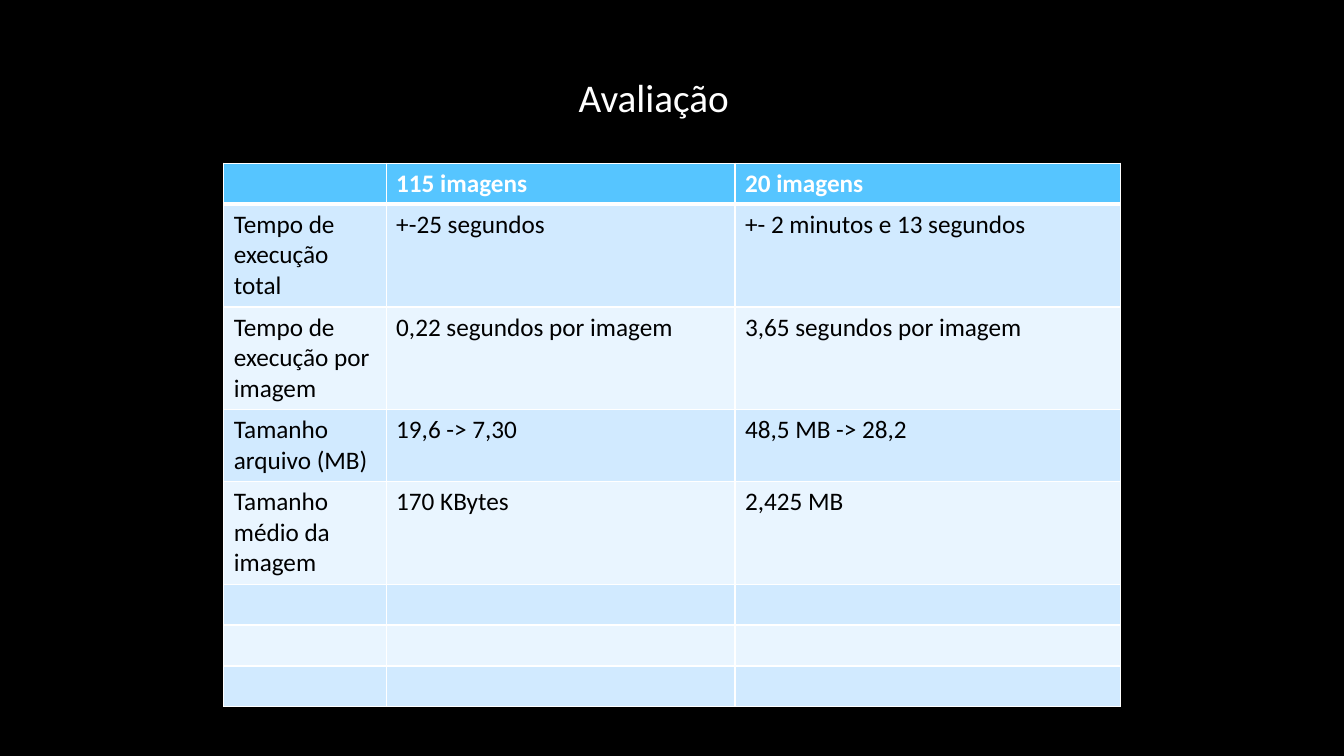
"""Build the evaluation slide: a title above a banded comparison table."""
from dataclasses import dataclass

from lxml import etree
from pptx import Presentation
from pptx import util as u
from pptx.dml.color import RGBColor
from pptx.oxml import ns

COLORS = {"bg": "000000", "white": "FFFFFF", "text": "000000",
          "header": "56C5FF", "odd": "D1EAFF", "even": "E9F5FF"}
FONT = "Calibri"
COL_WIDTHS = (1.61, 3.46, 3.82)
LINE_HEIGHT = 0.31
ROW_HEIGHT = 0.4


@dataclass(frozen=True)
class Row:
    cells: tuple[str, str, str] = ("", "", "")
    lines: int = 1

    @property
    def height(self) -> float:
        return ROW_HEIGHT + LINE_HEIGHT * (self.lines - 1)


ROWS = (
    Row(("", "115 imagens", "20 imagens")),
    Row(("Tempo de execução total", "+-25 segundos", "+- 2 minutos e 13 segundos"), 3),
    Row(("Tempo de execução por imagem", "0,22 segundos por imagem",
         "3,65 segundos por imagem"), 3),
    Row(("Tamanho arquivo (MB)", "19,6 -> 7,30", "48,5 MB -> 28,2"), 2),
    Row(("Tamanho médio da imagem", "170 KBytes", "2,425 MB"), 3),
    Row(), Row(), Row(),
)


def rgb(name: str) -> RGBColor:
    return RGBColor.from_string(COLORS[name])


def style_text(p, size: int, color: str, bold: bool = False) -> None:
    p.font.size = u.Pt(size)
    for r in p.runs:
        r.font.name = FONT
        r.font.size = u.Pt(size)
        r.font.bold = bold
        r.font.color.rgb = rgb(color)


def add_borders(cell, top: int, bottom: int) -> None:
    tc_pr = cell._tc.get_or_add_tcPr()
    for side, width in (("L", 1), ("R", 1), ("T", top), ("B", bottom)):
        ln = etree.SubElement(tc_pr, ns.qn(f"a:ln{side}"), w=str(u.Pt(width)))
        fill = etree.SubElement(ln, ns.qn("a:solidFill"))
        etree.SubElement(fill, ns.qn("a:srgbClr"), val=COLORS["white"])


def fill_row(table, index: int, row: Row) -> None:
    header = index == 0
    band = "header" if header else "odd" if index % 2 else "even"
    table.rows[index].height = u.Inches(row.height)
    for cell, words in zip(table.rows[index].cells, row.cells):
        add_borders(cell, top=3 if index == 1 else 1, bottom=3 if header else 1)
        cell.fill.solid()
        cell.fill.fore_color.rgb = rgb(band)
        cell.text_frame.text = words
        style_text(cell.text_frame.paragraphs[0], 18,
                   "white" if header else "text", header)


def add_results(s) -> None:
    height = sum(row.height for row in ROWS)
    table = s.shapes.add_table(len(ROWS), len(COL_WIDTHS), u.Inches(2.22), u.Inches(1.62),
                               u.Inches(sum(COL_WIDTHS)), u.Inches(height)).table
    for column, width in zip(table.columns, COL_WIDTHS):
        column.width = u.Inches(width)
    for index, row in enumerate(ROWS):
        fill_row(table, index, row)


def add_title(s) -> None:
    sp = s.shapes.add_textbox(u.Inches(5.64), u.Inches(0.68), u.Inches(1.81), u.Inches(0.57))
    tf = sp.text_frame
    tf.word_wrap = True
    tf.text = "Avaliação"
    style_text(tf.paragraphs[0], 28, "white")


def main() -> None:
    prs = Presentation()
    prs.slide_width, prs.slide_height = u.Inches(13.33), u.Inches(7.5)
    s = prs.slides.add_slide(prs.slide_layouts[6])
    s.background.fill.solid()
    s.background.fill.fore_color.rgb = rgb("bg")
    add_results(s)
    add_title(s)
    prs.save("out.pptx")


if __name__ == "__main__":
    main()
